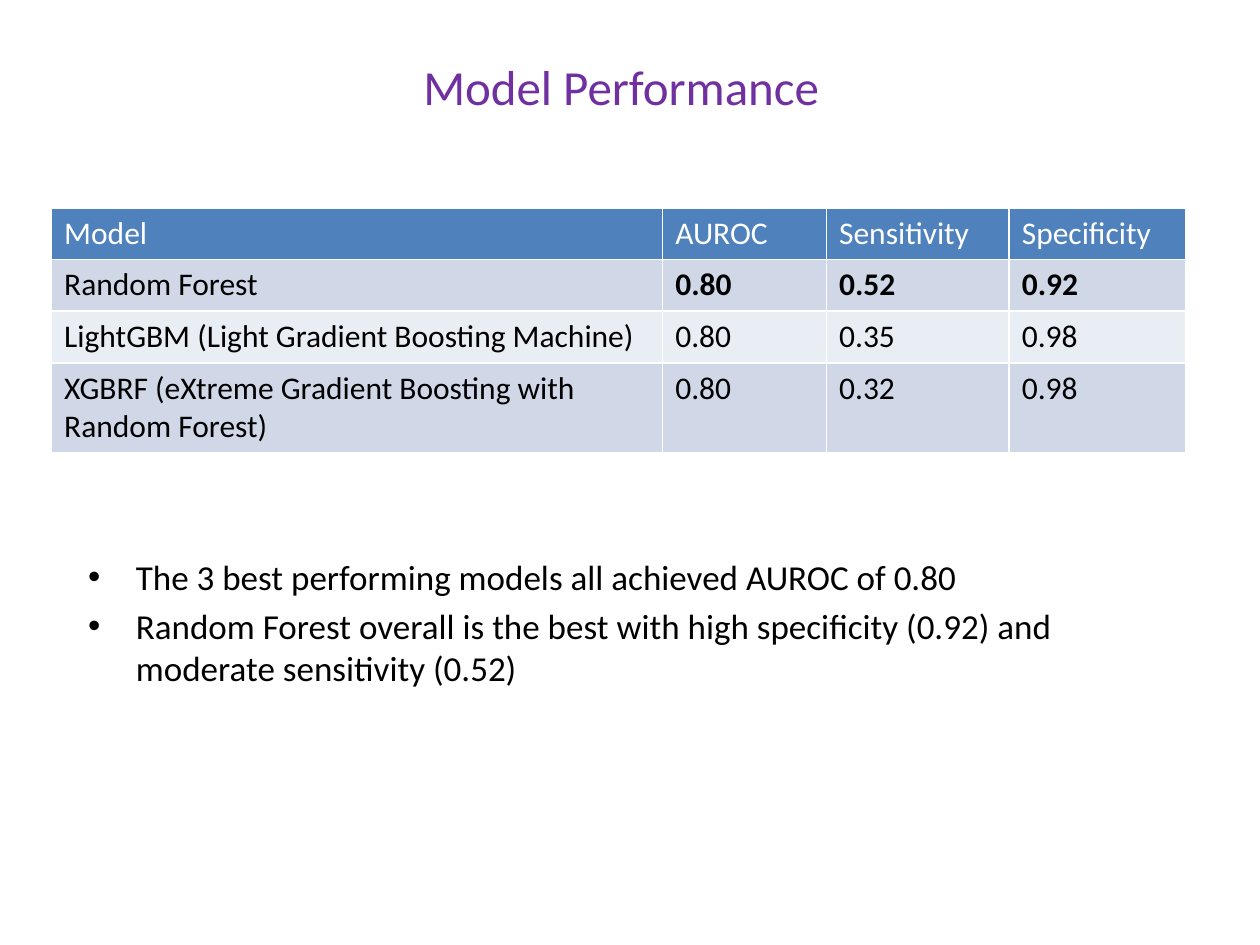
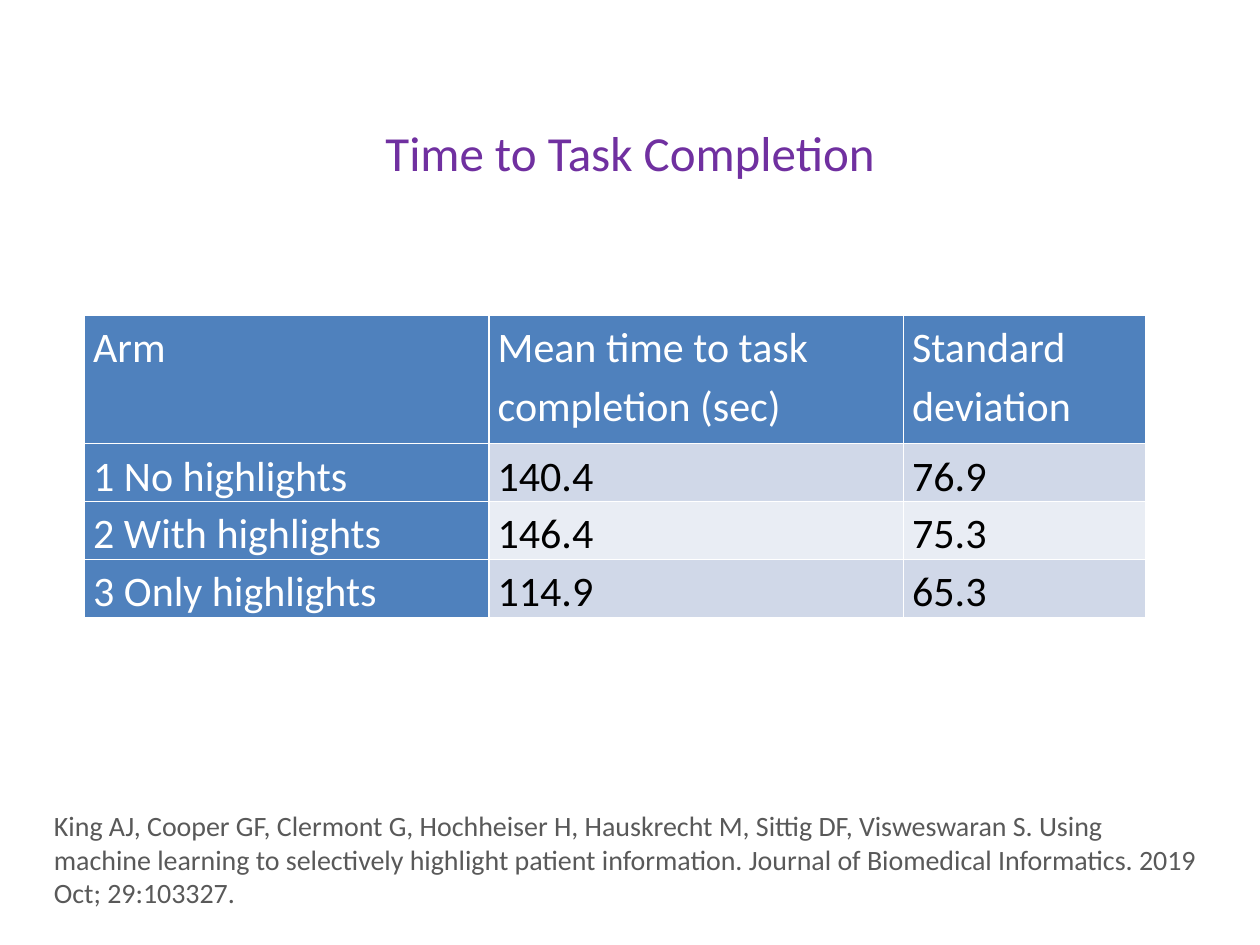
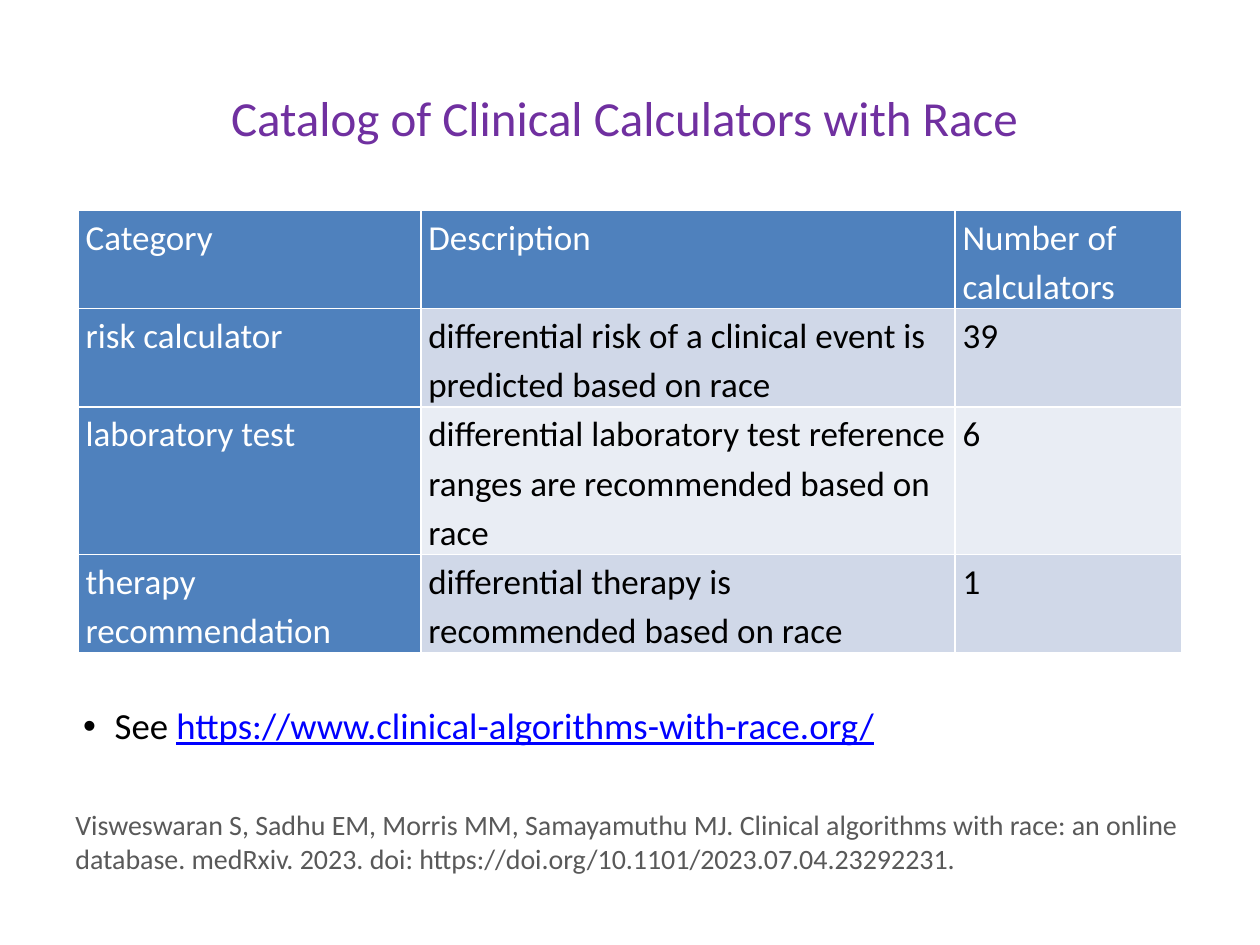
from pptx import Presentation
from pptx.dml.color import RGBColor
from pptx.enum.text import MSO_ANCHOR as Anchor, PP_ALIGN as Align
from pptx.oxml.ns import qn
from pptx.util import Inches, Pt
from lxml.etree import SubElement

FONT = "Calibri"
PURPLE = RGBColor(0x70, 0x30, 0xA0)
BLUE = RGBColor(0x4F, 0x81, 0xBD)
BANDS = RGBColor(0xD0, 0xD8, 0xE8), RGBColor(0xE9, 0xED, 0xF4)
WHITE = RGBColor(0xFF, 0xFF, 0xFF)
BLACK = RGBColor(0, 0, 0)
GREY = RGBColor(0x59, 0x59, 0x59)
LINK_BLUE = RGBColor(0, 0, 0xFF)


def set_all(target, values):
    for name, value in values.items():
        setattr(target, name, value)


class Deck:
    def __init__(self):
        self.prs = Presentation()
        self.prs.slide_width, self.prs.slide_height = Inches(10), Inches(7.5)
        self.slide = None

    def new_slide(self):
        self.slide = self.prs.slides.add_slide(self.prs.slide_layouts[6])

    def add_text(self, paragraph, text, size, color, **format_values):
        run = paragraph.add_run()
        run.text = text
        set_all(run.font, {"name": FONT, "size": Pt(size), **format_values})
        run.font.color.rgb = color

    def text_frame(self, left, top, width, height, **format_values):
        box = self.slide.shapes.add_textbox(*map(Inches, (left, top, width, height)))
        set_all(box.text_frame, {"word_wrap": True, **format_values})
        return box.text_frame

    def title(self, text, left, top, height=0.57):
        frame = self.text_frame(left, top, 9, height, vertical_anchor=Anchor.MIDDLE)
        frame.paragraphs[0].alignment = Align.CENTER
        self.add_text(frame.paragraphs[0], text, 28, PURPLE)

    def citation(self, text, left, top, height):
        frame = self.text_frame(left, top, 9.31, height)
        self.add_text(frame.paragraphs[0], text, 16, GREY)

    def bullets(self, items, at, size, indent, spacing=1.0, **frame_values):
        """Each item is a list of (text, colour, font values) runs."""
        frame = self.text_frame(*at, **frame_values)
        for index, runs in enumerate(items):
            paragraph = frame.add_paragraph() if index else frame.paragraphs[0]
            paragraph.line_spacing = spacing
            if index:
                paragraph.space_before = Pt(size * 0.2)
            properties = paragraph._p.get_or_add_pPr()
            properties.set("marL", str(Inches(indent)))
            properties.set("indent", str(-Inches(indent)))
            SubElement(properties, qn("a:buFont"), typeface="Arial")
            SubElement(properties, qn("a:buChar"), char="•")
            for text, color, font_values in runs:
                self.add_text(paragraph, text, size, color, **font_values)

    def table(self, rows, left, top, widths, heights, size, row_headers=True,
              bold_row=None, spacing=1.0, cell_values=None):
        """Add a banded table; bold_row sets the values of one row in bold."""
        table = self.slide.shapes.add_table(
            len(rows), len(widths), Inches(left), Inches(top),
            Inches(sum(widths)), Inches(sum(heights))).table
        table.first_col = row_headers
        for column, width in zip(table.columns, widths):
            column.width = Inches(width)
        for r, (row, height) in enumerate(zip(rows, heights)):
            table.rows[r].height = Inches(height)
            for c, text in enumerate(row):
                cell = table.cell(r, c)
                is_header = r == 0 or (row_headers and c == 0)
                set_all(cell, cell_values or {})
                cell.fill.solid()
                cell.fill.fore_color.rgb = BLUE if is_header else BANDS[(r - 1) % 2]
                paragraph = cell.text_frame.paragraphs[0]
                paragraph.line_spacing = spacing
                self.add_text(paragraph, text, size, WHITE if is_header else BLACK,
                              bold=r == bold_row and c > 0)


def tight_margins(side):
    return {"margin_left": Inches(side), "margin_right": Inches(side),
            "margin_top": 0, "margin_bottom": 0}


def model_performance(deck):
    deck.new_slide()
    deck.table([
        ("Model", "AUROC", "Sensitivity", "Specificity"),
        ("Random Forest", "0.80", "0.52", "0.92"),
        ("LightGBM (Light Gradient Boosting Machine)", "0.80", "0.35", "0.98"),
        ("XGBRF (eXtreme Gradient Boosting with Random Forest)", "0.80", "0.32", "0.98"),
    ], 0.41, 1.65, (4.85, 1.3, 1.45, 1.4), (0.41, 0.41, 0.41, 0.7), 18,
        row_headers=False, bold_row=1)
    findings = (
        "The 3 best performing models all achieved AUROC of 0.80",
        "Random Forest overall is the best with high specificity (0.92) "
        "and moderate sensitivity (0.52)",
    )
    deck.bullets([[(finding, BLACK, {})] for finding in findings],
                 (0.6, 4.36, 8.62, 2.05), 20, 0.38)
    deck.title("Model Performance", 0.43, 0.4)


def task_completion(deck):
    deck.new_slide()
    deck.table([
        ("Arm", "Mean time to task completion (sec)", "Standard deviation"),
        ("1 No highlights", "140.4", "76.9"),
        ("2 With highlights", "146.4", "75.3"),
        ("3 Only highlights", "114.9", "65.3"),
    ], 0.67, 2.5, (3.21, 3.29, 1.92), (1.02, 0.43, 0.44, 0.44), 24,
        spacing=1.15, cell_values=tight_margins(0.07))
    deck.title("Time to Task Completion", 0.5, 0.92)
    deck.citation(
        "King AJ, Cooper GF, Clermont G, Hochheiser H, Hauskrecht M, Sittig DF, "
        "Visweswaran S. Using machine learning to selectively highlight patient "
        "information. Journal of Biomedical Informatics. 2019 Oct; 29:103327.",
        0.33, 6.37, 0.91)


def calculator_catalog(deck):
    deck.new_slide()
    deck.title("Catalog of Clinical Calculators with Race ", 0.5, 0.3, 1.25)
    deck.table([
        ("Category", "Description", "Number of calculators"),
        ("risk calculator",
         "differential risk of a clinical event is predicted based on race", "39"),
        ("laboratory test",
         "differential laboratory test reference ranges are recommended based on race", "6"),
        ("therapy recommendation",
         "differential therapy is recommended based on race", "1"),
    ], 0.62, 1.67, (2.72, 4.24, 1.8), (0.78, 0.78, 1.17, 0.78), 20,
        spacing=1.15, cell_values=tight_margins(0.06))
    deck.citation(
        "Visweswaran S, Sadhu EM, Morris MM, Samayamuthu MJ. Clinical algorithms "
        "with race: an online database. medRxiv. 2023. "
        "doi: https://doi.org/10.1101/2023.07.04.23292231.",
        0.5, 6.36, 0.64)
    see_site = [("See ", BLACK, {}),
                ("https://www.clinical-algorithms-with-race.org/", LINK_BLUE,
                 {"underline": True})]
    deck.bullets([see_site], (0.59, 5.58, 8.62, 0.5), 21, 0.25, spacing=0.9,
                 margin_left=Inches(0.07), margin_right=Inches(0.07),
                 margin_top=Inches(0.04), margin_bottom=Inches(0.04))


def main():
    deck = Deck()
    for build_slide in (model_performance, task_completion, calculator_catalog):
        build_slide(deck)
    deck.prs.save("out.pptx")


if __name__ == "__main__":
    main()
